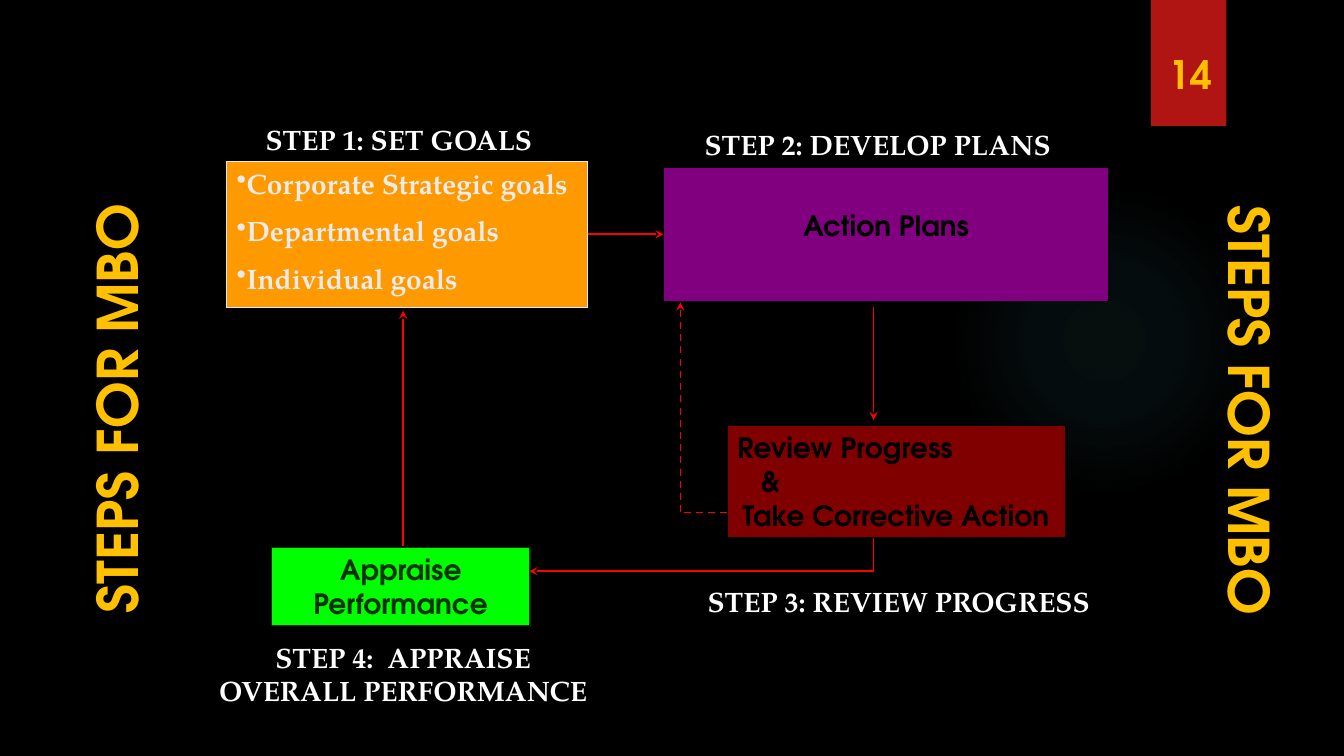
from lxml import etree
from pptx import Presentation
from pptx.dml.color import RGBColor
from pptx.enum.dml import MSO_LINE
from pptx.enum.shapes import MSO_CONNECTOR, MSO_SHAPE
from pptx.enum.text import MSO_ANCHOR, MSO_AUTO_SIZE, PP_ALIGN
from pptx.oxml import parse_xml
from pptx.oxml.ns import nsdecls, qn
from pptx.util import Emu, Inches, Pt

RECT, OVAL = MSO_SHAPE.RECTANGLE, MSO_SHAPE.OVAL
STRAIGHT, DASH = MSO_CONNECTOR.STRAIGHT, MSO_LINE.DASH
LEFT, CENTER = PP_ALIGN.LEFT, PP_ALIGN.CENTER
TOP, BOTTOM = MSO_ANCHOR.TOP, MSO_ANCHOR.BOTTOM
NO_FIT = MSO_AUTO_SIZE.NONE

COLS, ROWS = 160, 90
CELL = Inches(7.5) / ROWS
SANS, SERIF = "TeX Gyre Adventor", "TeX Gyre Pagella"
BLACK, WHITE, GOLD, RED = "000000", "FFFFFF", "FFC000", "FF0000"
HEADING = "STEPS FOR MBO"


def cells(*counts):
    """Turn counts of grid cells into lengths."""
    return [Emu(round(n * CELL)) for n in counts]


def rgb(color):
    return RGBColor.from_string(color)


def write(sp, lines, color, font=SANS, size=20, align=CENTER, anchor=TOP,
          gap=0, bullet=None, indents=None):
    tf = sp.text_frame
    tf.word_wrap = True
    tf.auto_size = NO_FIT
    tf.vertical_anchor = anchor
    for i, line in enumerate(lines):
        p = tf.paragraphs[0] if i == 0 else tf.add_paragraph()
        pPr = p._p.get_or_add_pPr()
        if indents:
            pPr.set("marL", str(cells(indents[i])[0]))
        if bullet:
            etree.SubElement(pPr, qn("a:buChar")).set("char", bullet)
        p.alignment = align
        p.space_before = Pt(gap if i else 0)
        r = p.add_run()
        r.text = line
        r.font.name, r.font.size, r.font.bold = font, Pt(size), True
        r.font.color.rgb = rgb(color)


def add_box(slide, at, fill, line=None, kind=RECT):
    sp = slide.shapes.add_shape(kind, *cells(*at))
    sp.shadow.inherit = False
    sp.fill.solid()
    sp.fill.fore_color.rgb = rgb(fill)
    if line:
        sp.line.color.rgb = rgb(line)
        sp.line.width = Pt(0.75)
    else:
        sp.line.fill.background()
    return sp


def add_glow(slide, at, color):
    """Add a circle that fades out from its centre."""
    sp = add_box(slide, at, color, kind=OVAL)
    stops = "".join(
        f'<a:gs pos="{pos}000"><a:srgbClr val="{color}">'
        f'<a:alpha val="{alpha}000"/></a:srgbClr></a:gs>'
        for pos, alpha in ((0, 7), (36, 6), (69, 0), (100, 0)))
    solid = sp._element.spPr.find(qn("a:solidFill"))
    solid.getparent().replace(solid, parse_xml(
        f'<a:gradFill {nsdecls("a")}><a:gsLst>{stops}</a:gsLst>'
        '<a:path path="circle"><a:fillToRect l="50000" t="50000" '
        'r="50000" b="50000"/></a:path></a:gradFill>'))


def add_label(slide, at, text, color=WHITE, **style):
    sp = slide.shapes.add_textbox(*cells(*at))
    write(sp, [text], color, **style)
    return sp


def add_line(slide, start, end, arrow=True, dashed=False):
    line = slide.shapes.add_connector(STRAIGHT, *cells(*start, *end))
    line.line.color.rgb = rgb(RED)
    line.line.width = Pt(1.25)
    if dashed:
        line.line.dash_style = DASH
    if arrow:
        etree.SubElement(line.line._get_or_add_ln(), qn("a:tailEnd")).set("type", "stealth")
    etree.SubElement(line._element.spPr, qn("a:effectLst"))
    return line


def add_headings(slide):
    title = slide.shapes.title
    title.left, title.top, title.width, title.height = cells(-16.5, 40.5, 59.4, 8)
    title.rotation = 270
    write(title, [HEADING], GOLD, size=40, align=LEFT)
    mirror = add_label(slide, (113.5, 55.3, 72, 8), HEADING, GOLD, size=40, align=LEFT)
    mirror.rotation = 90


def add_steps(slide):
    """Add the four step boxes; return those joined by an arrow."""
    goals = add_box(slide, (27, 19.2, 43, 17.4), "FF9900", "EBEBEB")
    write(goals, ["Corporate Strategic goals", "Departmental goals", "Individual goals"],
          "EBEBEB", font=SERIF, align=LEFT, gap=10, bullet="•")

    plans = add_box(slide, (79, 19.9, 53, 16), "800080", BLACK)
    write(plans, ["Action Plans"], BLACK)
    plans.text_frame.margin_top = cells(4.9)[0]

    review = add_box(slide, (86.6, 50.7, 40.3, 13.3), "800000", BLACK)
    write(review, ["Review Progress", "&", "Take Corrective Action"],
          BLACK, align=LEFT, indents=(0, 2.8, 0.6))
    review.text_frame.margin_right = 0

    appraise = add_box(slide, (32.3, 65.2, 30.8, 9.3), "00FF00", "003300")
    write(appraise, ["Appraise Performance"], "003300")

    for at, text in (
        ((29, 14, 37, 5.2), "STEP 1: SET GOALS"),
        ((82, 14.6, 45, 5.2), "STEP 2: DEVELOP PLANS"),
        ((81, 69, 52, 5.2), "STEP 3: REVIEW PROGRESS"),
        ((24, 75.6, 48, 9.2), "STEP 4:  APPRAISE OVERALL PERFORMANCE"),
    ):
        add_label(slide, at, text, font=SERIF)
    return goals, plans


def add_flow(slide, goals, plans):
    to_plans = add_line(slide, (70, 27.9), (79, 27.9))
    to_plans.begin_connect(goals, 3)
    to_plans.end_connect(plans, 1)
    add_line(slide, (104, 36.5), (104, 50))
    add_line(slide, (104, 64), (104, 68), arrow=False)
    add_line(slide, (104, 68), (63, 68))
    add_line(slide, (48, 65), (48, 37))
    add_line(slide, (86.6, 61), (81, 61), arrow=False, dashed=True)
    add_line(slide, (81, 61), (81, 36), dashed=True)


def main():
    prs = Presentation()
    prs.slide_width, prs.slide_height = cells(COLS, ROWS)
    slide = prs.slides.add_slide(prs.slide_layouts[5])
    slide.background.fill.solid()
    slide.background.fill.fore_color.rgb = rgb(BLACK)

    add_glow(slide, (113, 22, 37, 37), "50B9C1")
    add_box(slide, (137, 0, 9, 15), "B01513")
    add_label(slide, (136.3, 3.2, 10.9, 9), "14", GOLD, size=28, anchor=BOTTOM)
    add_headings(slide)
    goals, plans = add_steps(slide)
    add_flow(slide, goals, plans)
    prs.save("out.pptx")


if __name__ == "__main__":
    main()
